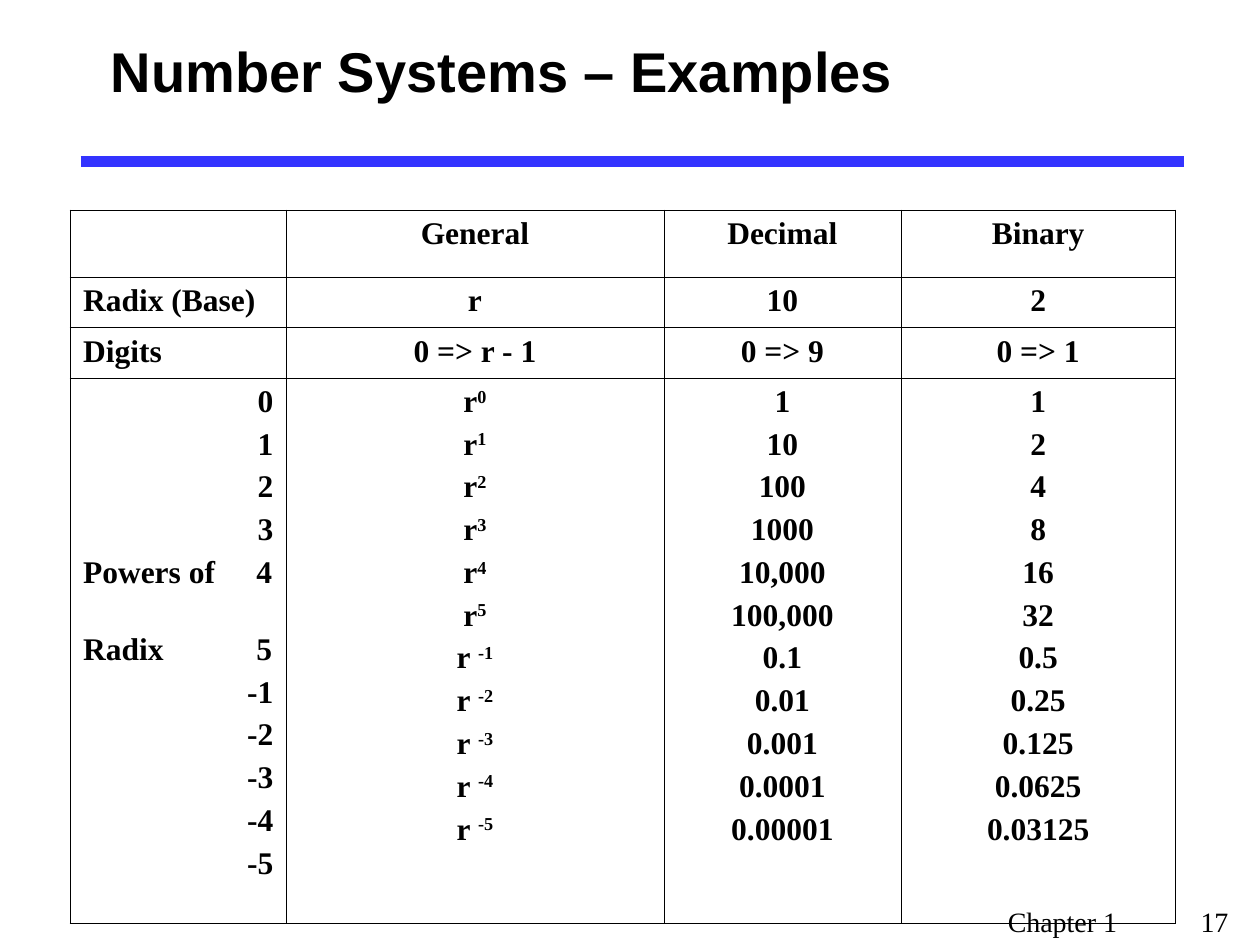
from pptx import Presentation, util as u
from pptx.dml.color import RGBColor
from pptx.enum import shapes, text
from pptx.oxml import ns
from lxml import etree

BLACK = "000000"


def format_run(r, size, name="Times New Roman", bold=True):
    r.font.size = u.Pt(size)
    r.font.name = name
    r.font.bold = bold
    r.font.color.rgb = RGBColor.from_string(BLACK)


def add_tab(p, position, align):
    tabs = etree.SubElement(p._p.get_or_add_pPr(), ns.qn("a:tabLst"))
    etree.SubElement(tabs, ns.qn("a:tab"), pos=str(u.Inches(position)), algn=align)


prs = Presentation()
prs.slide_width, prs.slide_height = u.Inches(10), u.Inches(7.5)
s = prs.slides.add_slide(prs.slide_layouts[5])

rule = s.shapes.add_connector(shapes.MSO_CONNECTOR.STRAIGHT, u.Inches(0.64), u.Inches(1.28),
                              u.Inches(9.4), u.Inches(1.28))
rule.line.color.rgb = RGBColor.from_string("3333FF")
rule.line.width = u.Pt(6)
etree.SubElement(rule._element.spPr, ns.qn("a:effectLst"))

title = s.shapes.title
title.left, title.top = u.Inches(0.78), u.Inches(0)
title.width, title.height = u.Inches(8.5), u.Inches(1.12)
tf = title.text_frame
tf.text = "Number Systems – Examples"
tf.vertical_anchor = text.MSO_ANCHOR.MIDDLE
tf.paragraphs[0].alignment = text.PP_ALIGN.LEFT
format_run(tf.paragraphs[0].runs[0], 32, "Arial")

powers = list(range(6)) + list(range(-1, -6, -1))
labels = [{4: "Powers of\t4", 5: "Radix\t5"}.get(n, str(n)) for n in powers]
general = [f"r^{n}" if n >= 0 else f"r ^{n}" for n in powers]
decimal = ["1", "10", "100", "1000", "10,000", "100,000",
           "0.1", "0.01", "0.001", "0.0001", "0.00001"]
binary = [str(2 ** n) for n in powers]
rows = [
    [[], ["General"], ["Decimal"], ["Binary"]],
    [["Radix (Base)"], ["r"], ["10"], ["2"]],
    [["Digits"], ["0 => r - 1"], ["0 => 9"], ["0 => 1"]],
    [labels, general, decimal, binary],
]
widths = [1.71, 3, 1.88, 2.18]
heights = [0.53, 0.4, 0.4, 4.33]

table = s.shapes.add_table(4, 4, u.Inches(0.56), u.Inches(1.67),
                           u.Inches(sum(widths)), u.Inches(sum(heights))).table
table.first_row = table.horz_banding = False
for column, width in zip(table.columns, widths):
    column.width = u.Inches(width)
for row, height in zip(table.rows, heights):
    row.height = u.Inches(height)

for i, row in enumerate(rows):
    for j, lines in enumerate(row):
        cell = table.cell(i, j)
        tcPr = cell._tc.get_or_add_tcPr()
        for side, outer in (("L", j == 0), ("R", j == 3), ("T", i == 0), ("B", i == 3)):
            ln = etree.SubElement(tcPr, ns.qn(f"a:ln{side}"), w=str(u.Pt(1.08 if outer else 0.45)))
            fill = etree.SubElement(ln, ns.qn("a:solidFill"))
            etree.SubElement(fill, ns.qn("a:srgbClr"), val=BLACK)
        cell.fill.background()
        tf = cell.text_frame
        for k, line in enumerate(lines):
            p = tf.add_paragraph() if k else tf.paragraphs[0]
            if "\t" in line:
                add_tab(p, 1.5, "r")
            base, _, exponent = line.partition("^")
            p.text = base
            if exponent:
                r = p.add_run()
                r.text = exponent
                r._r.get_or_add_rPr().set("baseline", "30000")
            for r in p.runs:
                format_run(r, 18)
            if j:
                p.alignment = text.PP_ALIGN.CENTER
            elif i == 3 and "\t" not in line:
                p.alignment = text.PP_ALIGN.RIGHT
            else:
                p.alignment = text.PP_ALIGN.LEFT
            if k:
                p.space_before = u.Pt(24 if line.startswith("Radix") else 4.5)

footer = s.shapes.add_textbox(u.Inches(7.9), u.Inches(7.13), u.Inches(2.1), u.Inches(0.37))
tf = footer.text_frame
tf.word_wrap = True
p = tf.paragraphs[0]
add_tab(p, 1.53, "l")
p.text = "Chapter 1\t17"
format_run(p.runs[0], 16, bold=False)

prs.save("out.pptx")
